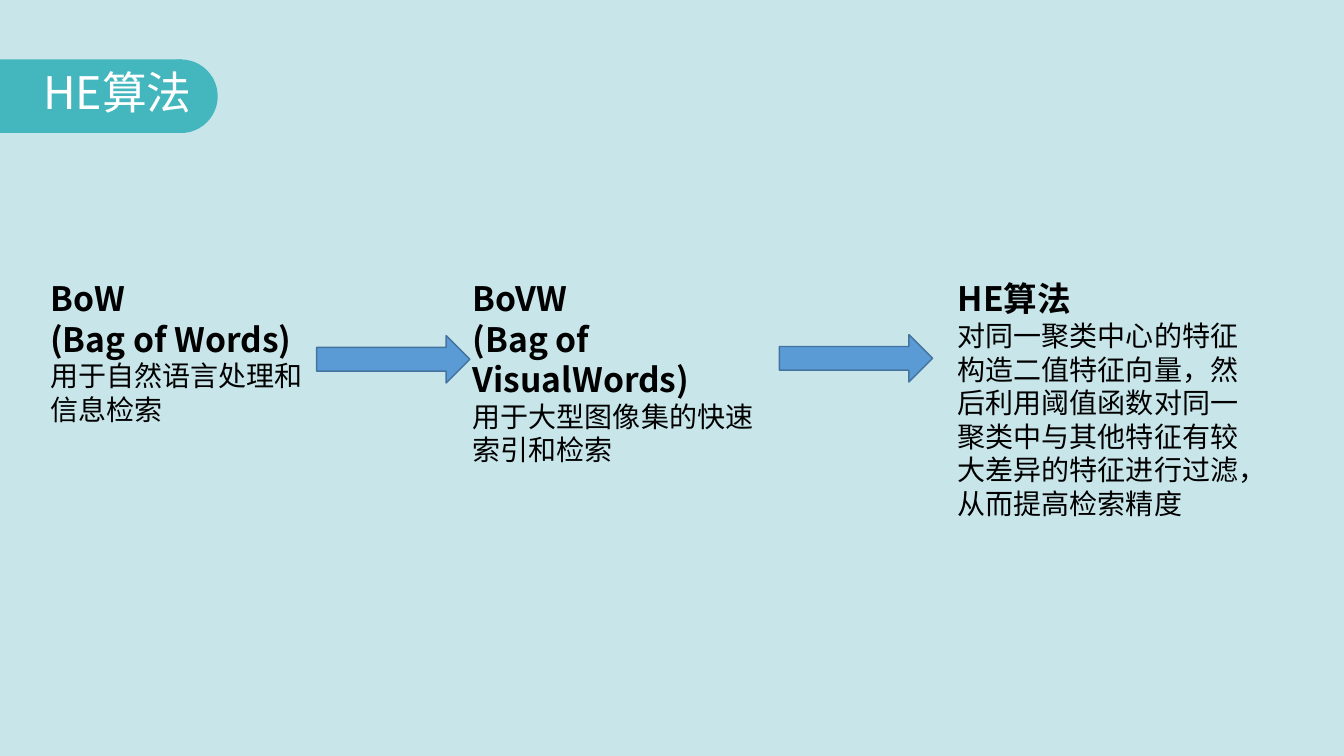
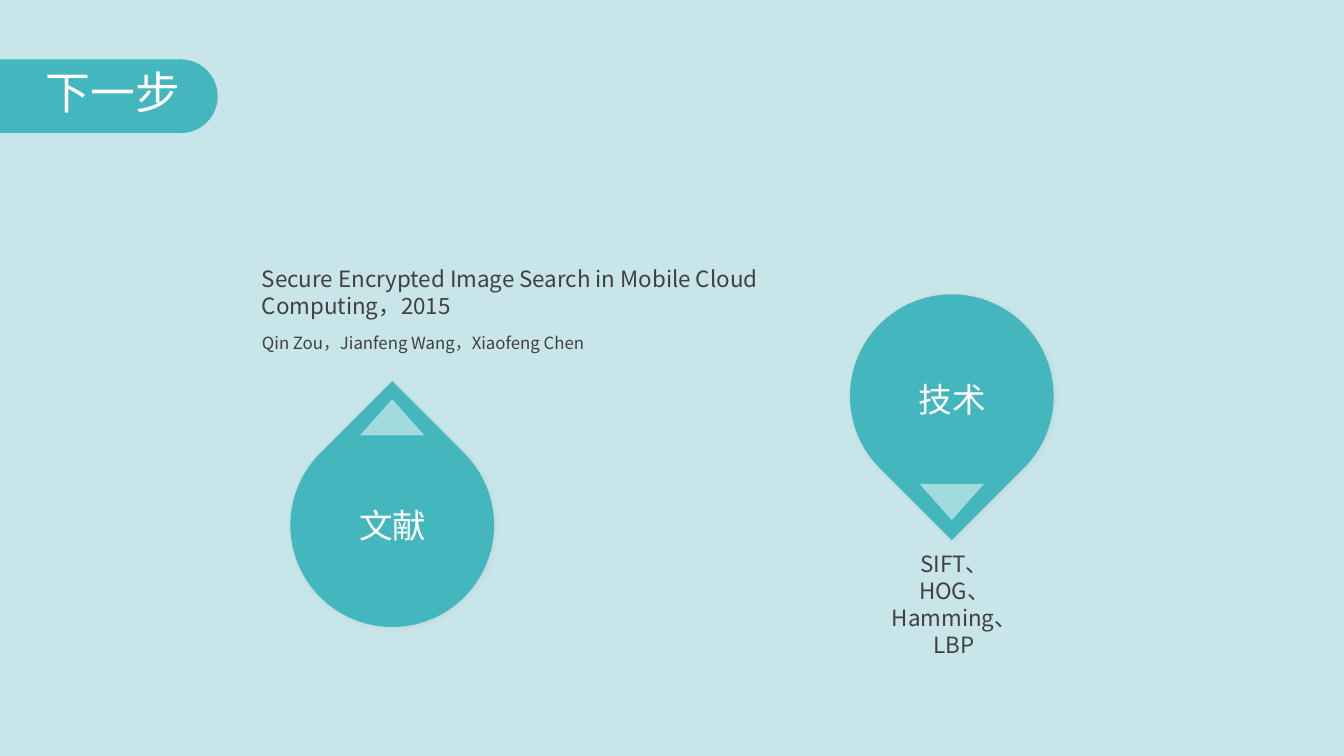
"""Build two slides: the path to the HE algorithm and the next steps."""
from lxml import etree
from pptx import Presentation
from pptx.dml.color import RGBColor
from pptx.enum.shapes import MSO_SHAPE
from pptx.enum.text import MSO_ANCHOR, MSO_AUTO_SIZE, PP_ALIGN
from pptx.oxml.ns import qn
from pptx.util import Inches, Pt

RECTANGLE, OVAL = MSO_SHAPE.RECTANGLE, MSO_SHAPE.OVAL
RIGHT_ARROW, TEARDROP = MSO_SHAPE.RIGHT_ARROW, MSO_SHAPE.TEAR
MERGE = MSO_SHAPE.FLOWCHART_MERGE
LEFT, CENTER, JUSTIFY = PP_ALIGN.LEFT, PP_ALIGN.CENTER, PP_ALIGN.JUSTIFY
NOTO = "Noto Sans CJK SC"
TEAL, PALE, WHITE = "44B7BE", "C8E6EA", "FFFFFF"
BLACK, GREY, BLUE, DARK_BLUE = "000000", "404040", "5B9BD5", "43739E"
rgb = RGBColor.from_string


def add_filled(slide, preset, box, color):
    shape = slide.shapes.add_shape(preset, *map(Inches, box))
    shape.shadow.inherit = False
    shape.fill.solid()
    shape.fill.fore_color.rgb = rgb(color)
    shape.line.fill.background()
    return shape


def write(shape, box, lines, color, align=LEFT, font=NOTO):
    shape.left, shape.top, shape.width, shape.height = map(Inches, box)
    frame = shape.text_frame
    frame.word_wrap = True
    frame.auto_size = MSO_AUTO_SIZE.NONE
    frame.vertical_anchor = MSO_ANCHOR.TOP
    frame.text = "\n".join(text for text, size, bold in lines)
    for paragraph, (text, size, bold) in zip(frame.paragraphs, lines):
        paragraph.alignment = align
        for run in paragraph.runs:
            run.font.size = Pt(size)
            run.font.bold = bold
            run.font.name = font
            run.font.color.rgb = rgb(color)
            east_asian = etree.SubElement(run.font._element, qn("a:ea"))
            east_asian.set("typeface", NOTO)
    return frame


prs = Presentation()
prs.slide_width, prs.slide_height = Inches(13.33), Inches(7.5)
layout = prs.slide_layouts[5]
layout.background.fill.solid()
layout.background.fill.fore_color.rgb = rgb(PALE)

history = prs.slides.add_slide(layout)
next_steps = prs.slides.add_slide(layout)

band_parts = [(RECTANGLE, 0, 1.81), (OVAL, 1.43, 0.73)]
for number, (preset, left, width) in enumerate(band_parts, 20):
    band = add_filled(history, preset, (left, 0.59, width, 0.73), TEAL)
    band.element.nvSpPr.cNvPr.set("id", str(number))
    layout.shapes.element.insert(2, band.element)

for slide, title, left, width in [(history, "HE算法", 0.25, 1.83),
                                  (next_steps, "下一步", -0.33, 2.9)]:
    write(slide.shapes.title, (left, 0.59, width, 0.64),
          [(title, 32, False)], WHITE, CENTER)

stages = [
    (0.4, 2.78, 1.58, ["BoW", "(Bag of Words)"], "用于自然语言处理和信息检索"),
    (4.59, 2.98, 1.58, ["BoVW", "(Bag of VisualWords)"],
     "用于大型图像集的快速索引和检索"),
    (9.4, 2.98, 2.52, ["HE算法"],
     "对同一聚类中心的特征构造二值特征向量，然后利用阈值函数对同一聚类中"
     "与其他特征有较大差异的特征进行过滤，从而提高检索精度"),
]
for left, width, height, headings, purpose in stages:
    lines = [(heading, 24, True) for heading in headings]
    write(history.shapes.add_textbox(0, 0, 0, 0), (left, 2.71, width, height),
          lines + [(purpose, 20, False)], BLACK)

for left, top in [(7.73, 3.32), (3.14, 3.33)]:
    arrow = add_filled(history, RIGHT_ARROW, (left, top, 1.52, 0.47), BLUE)
    arrow.line.color.rgb = rgb(DARK_BLUE)
    arrow.line.width = Pt(1)

drops = [
    ("技术", 9.44, 2.92, 135, 4.8, 0, 3.71),
    ("文献", 3.89, 4.2, 315, 3.96, 180, 4.96),
]
for label, center, top, turn, tip_top, tip_turn, label_top in drops:
    drop = add_filled(next_steps, TEARDROP,
                      (center - 1.01, top, 2.02, 2.02), TEAL)
    drop.rotation = turn
    effects = drop.element.spPr.find(qn("a:effectLst"))
    shadow = etree.SubElement(effects, qn("a:outerShdw"), blurRad=str(Pt(4)),
                              dist=str(Pt(1)), dir="2700000", rotWithShape="0")
    shade = etree.SubElement(shadow, qn("a:srgbClr"), val=BLACK)
    etree.SubElement(shade, qn("a:alpha"), val="5000")

    tip = add_filled(next_steps, MERGE,
                     (center - 0.32, tip_top, 0.64, 0.36), WHITE)
    tip.rotation = tip_turn
    tip_color = tip.element.spPr.find(qn("a:solidFill"))[0]
    etree.SubElement(tip_color, qn("a:alpha"), val="50000")

    write(next_steps.shapes.add_textbox(0, 0, 0, 0),
          (center - 0.56, label_top, 1.13, 0.5),
          [(label, 24, False)], WHITE, CENTER, "Calibri")

write(next_steps.shapes.add_textbox(0, 0, 0, 0), (8.74, 5.41, 1.45, 0.91),
      [("SIFT、HOG、Hamming、LBP", 16, False)], GREY, CENTER)
write(next_steps.shapes.add_textbox(0, 0, 0, 0), (2.5, 2.58, 5.37, 0.64),
      [("Secure Encrypted Image Search in Mobile Cloud", 16, False),
       ("Computing，2015", 16, False)], GREY)
authors = write(next_steps.shapes.add_textbox(0, 0, 0, 0),
                (2.5, 3.2, 3.76, 0.33),
                [("Qin Zou，Jianfeng Wang，Xiaofeng Chen", 12, False)],
                GREY, JUSTIFY)
authors.paragraphs[0].line_spacing = 1.25

prs.save("out.pptx")
